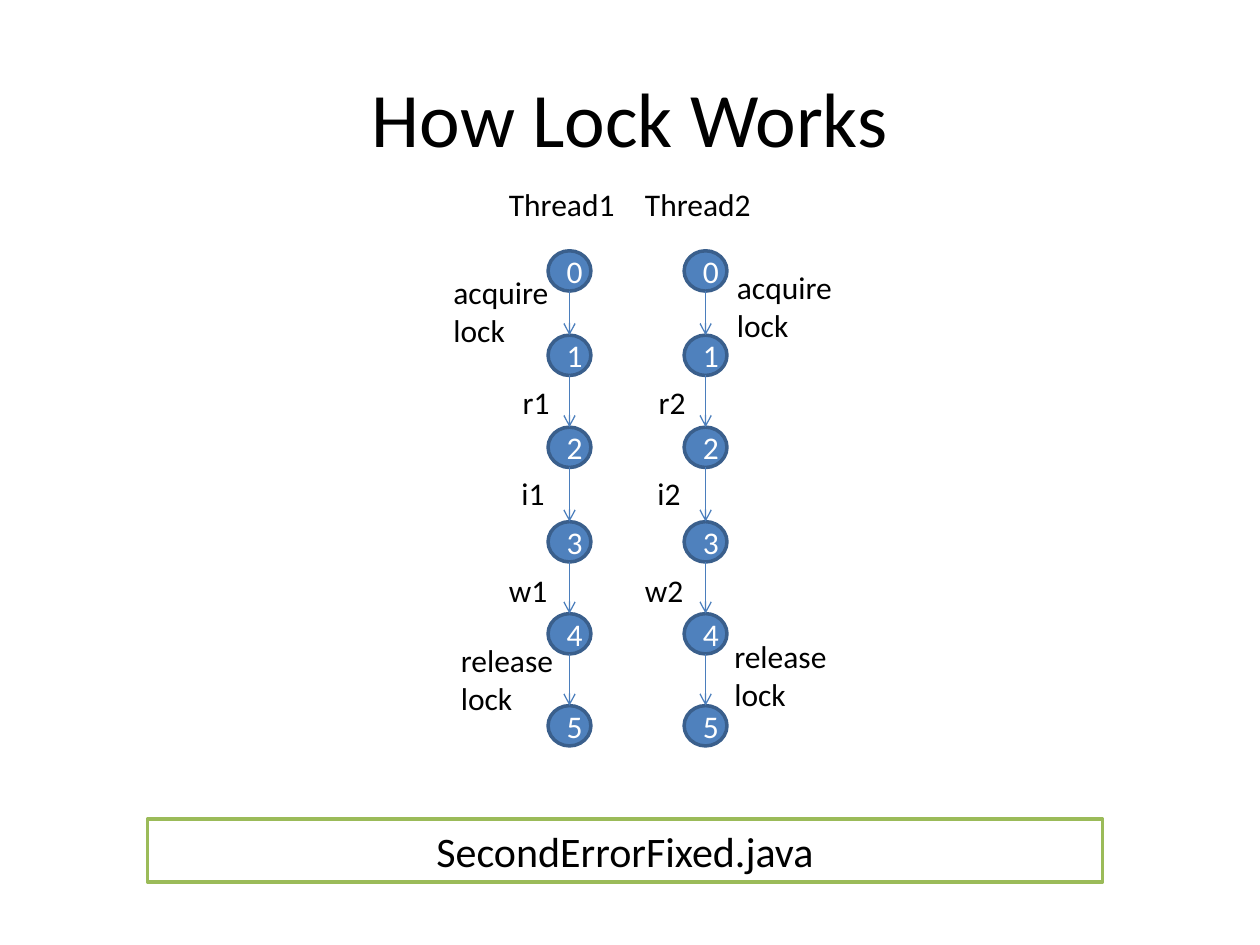
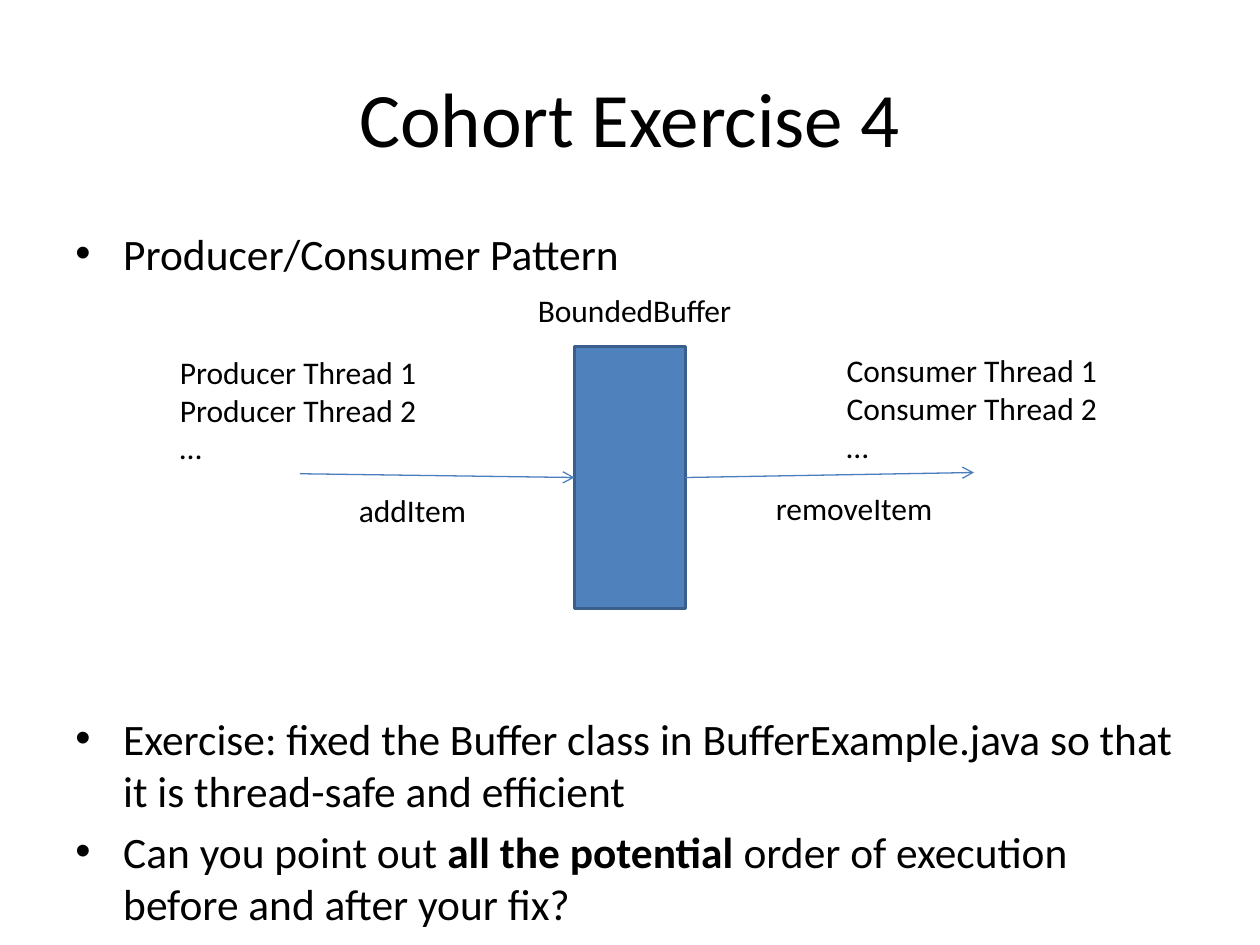
from pptx import Presentation
from pptx.dml.color import RGBColor
from pptx.enum.shapes import MSO_CONNECTOR, MSO_SHAPE
from pptx.enum.text import MSO_ANCHOR, MSO_AUTO_SIZE, PP_ALIGN
from pptx.oxml.ns import qn
from pptx.util import Inches, Pt
from lxml.etree import SubElement

# Shared look
FONT = "Calibri"
BLACK, WHITE = "000000", "FFFFFF"
BLUE, EDGE, ARROW, GREEN = "4F81BD", "3A5F8C", "4B7EBC", "9BBB59"
TITLE = (0.5, 0.3, 9, 1.25)

# Slide 1: two threads, each a chain of states joined by steps
LOCK = "How Lock Works"
FILE = ("SecondErrorFixed.java", (1.17, 6.5, 7.58, 0.5))
TOPS = [1.99, 2.66, 3.39, 4.14, 4.87, 5.6]
LEFT, PITCH, WIDE, HIGH = 4.35, 1.08, 0.34, 0.32
# Steps: letter, left from the state, top, width
STEPS = [("r", -0.3, 2.99, 0.47), ("i", -0.31, 3.71, 0.47),
         ("w", -0.41, 4.48, 0.58)]
# Lock notes of each thread: text, box
NOTES = [
    [("acquire lock", (3.5, 2.12, 1.08, 0.71)),
     ("release lock", (3.56, 5.04, 1.27, 0.71))],
    [("acquire lock", (5.75, 2.08, 1.08, 0.71)),
     ("release lock", (5.73, 5.01, 1.27, 0.71))],
]

# Slide 2: bullets around a producer/consumer sketch
COHORT = "Cohort Exercise 4"
BODY = (0.5, 1.75, 9, 4.95)
# Bullets: space before in points, runs of (text, bold)
POINTS = [
    (5, [("Producer/Consumer Pattern", False)]),
    (247.5, [("Exercise: fixed the Buffer class in BufferExample.java "
              "so that it is thread-safe and efficient", False)]),
    (5, [("Can you point out ", False), ("all the potential ", True),
         ("order of execution before and after your fix?", False)]),
]
BUFFER = (4.56, 2.75, 0.88, 2.08)
LABELS = [
    ("Producer Thread 1\nProducer Thread 2\n…", (1.33, 2.75, 2.1, 1.01)),
    ("Consumer Thread 1\nConsumer Thread 2\n…", (6.62, 2.74, 2.21, 1.01)),
    ("BoundedBuffer", (4.17, 2.26, 1.76, 0.4)),
    ("addItem", (2.75, 3.85, 1.06, 0.4)),
    ("removeItem", (6.06, 3.83, 1.46, 0.4)),
]
SOURCE, SINK, MIDDLE = (2.38, 3.76), (7.73, 3.75), 3.79


def color(code):
    return RGBColor.from_string(code)


def place(box):
    return [Inches(part) for part in box]


def assign(item, **values):
    for name, value in values.items():
        setattr(item, name, value)


def style(run, size, tint=BLACK, bold=False):
    assign(run.font, name=FONT, size=Pt(size), bold=bold)
    run.font.color.rgb = color(tint)


def write(shape, text, size=18, tint=BLACK, align=PP_ALIGN.LEFT, **frame):
    """Fill a shape with one paragraph per line of text."""
    body = shape.text_frame
    body.text = text
    assign(body, **{"word_wrap": True, "vertical_anchor": MSO_ANCHOR.TOP,
                    **frame})
    for para in body.paragraphs:
        para.alignment = align
        for run in para.runs:
            style(run, size, tint)


def label(slide, text, box, wrap=False):
    write(slide.shapes.add_textbox(*place(box)), text, word_wrap=wrap,
          auto_size=MSO_AUTO_SIZE.SHAPE_TO_FIT_TEXT)


def solid(slide, kind, box, fill=BLUE, edge=EDGE):
    shape = slide.shapes.add_shape(kind, *place(box))
    shape.shadow.inherit = False
    shape.fill.solid()
    shape.fill.fore_color.rgb = color(fill)
    shape.line.color.rgb = color(edge)
    shape.line.width = Pt(2)
    return shape


def arrow(slide, start, end):
    line = slide.shapes.add_connector(MSO_CONNECTOR.STRAIGHT,
                                      *place(start + end))
    line.line.color.rgb = color(ARROW)
    line.line.width = Pt(0.75)
    SubElement(line.line._get_or_add_ln(), qn("a:tailEnd"), type="arrow")
    SubElement(line._element.spPr, qn("a:effectLst"))
    return line


def page(deck, title):
    slide = deck.slides.add_slide(deck.slide_layouts[6])
    write(slide.shapes.add_textbox(*place(TITLE)), title, 44,
          align=PP_ALIGN.CENTER, vertical_anchor=MSO_ANCHOR.MIDDLE)
    return slide


def thread(slide, index):
    """Draw one column of states with its arrows and labels."""
    left = LEFT + index * PITCH
    mid = left + WIDE / 2
    name = str(index + 1)
    label(slide, "Thread" + name, (left - 0.41, 1.42, 1.05, 0.4))
    for state, top in enumerate(TOPS):
        dot = solid(slide, MSO_SHAPE.OVAL, (left, top, WIDE, HIGH))
        write(dot, str(state), tint=WHITE, align=PP_ALIGN.CENTER,
              vertical_anchor=MSO_ANCHOR.MIDDLE)
    for top, below in zip(TOPS, TOPS[1:]):
        arrow(slide, (mid, top + HIGH), (mid, below))
    for step, shift, top, wide in STEPS:
        label(slide, step + name, (left + shift, top, wide, 0.4), True)
    for text, box in NOTES[index]:
        label(slide, text, box, True)


def bullets(slide):
    frame = slide.shapes.add_textbox(*place(BODY)).text_frame
    frame.word_wrap = True
    for index, (space, runs) in enumerate(POINTS):
        para = frame.add_paragraph() if index else frame.paragraphs[0]
        para.space_before = Pt(space)
        props = para._p.get_or_add_pPr()
        props.set("marL", str(Inches(0.38)))
        props.set("indent", str(Inches(-0.38)))
        SubElement(props, qn("a:buFont"), typeface="Arial")
        SubElement(props, qn("a:buChar"), char="•")
        for text, bold in runs:
            run = para.add_run()
            run.text = text
            style(run, 24.8, bold=bold)


def main():
    deck = Presentation()
    assign(deck, slide_width=Inches(10), slide_height=Inches(7.5))

    # Lock diagram
    slide = page(deck, LOCK)
    text, box = FILE
    write(solid(slide, MSO_SHAPE.RECTANGLE, box, WHITE, GREEN), text, 24,
          align=PP_ALIGN.CENTER)
    for index in range(len(NOTES)):
        thread(slide, index)

    # Buffer exercise
    slide = page(deck, COHORT)
    bullets(slide)
    block = solid(slide, MSO_SHAPE.RECTANGLE, BUFFER)
    for text, box in LABELS:
        label(slide, text, box)
    left, _, wide, _ = BUFFER
    arrow(slide, SOURCE, (left, MIDDLE)).end_connect(block, 1)
    arrow(slide, (left + wide, MIDDLE), SINK).begin_connect(block, 3)

    deck.save("out.pptx")


if __name__ == "__main__":
    main()
